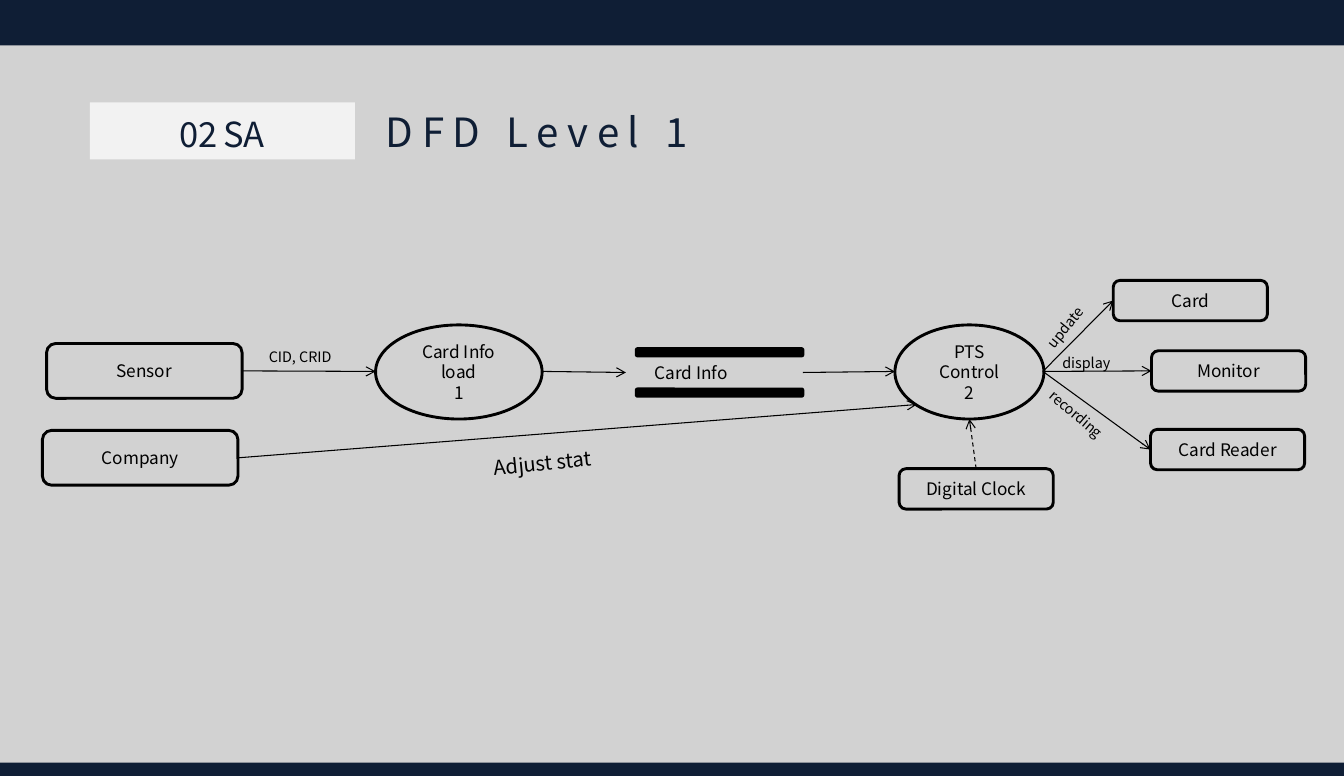
from pptx import Presentation
from pptx.dml.color import RGBColor
from pptx.enum.dml import MSO_LINE
from pptx.enum.shapes import MSO_CONNECTOR, MSO_SHAPE
from pptx.enum.text import MSO_ANCHOR, MSO_AUTO_SIZE, PP_ALIGN
from pptx.oxml.ns import qn
from pptx.util import Emu, Pt
from lxml import etree

EMU_PER_PX = 9144  # 100 px to the inch
FONT = "Noto Sans CJK KR"
NAVY = RGBColor(0x0F, 0x1E, 0x35)
GRAY = RGBColor(0xD2, 0xD2, 0xD2)
PALE = RGBColor(0xF2, 0xF2, 0xF2)
BLACK = RGBColor(0, 0, 0)
RECT, ROUND, OVAL = MSO_SHAPE.RECTANGLE, MSO_SHAPE.ROUNDED_RECTANGLE, MSO_SHAPE.OVAL
STRAIGHT, DASH = MSO_CONNECTOR.STRAIGHT, MSO_LINE.DASH
LEFT, CENTER = PP_ALIGN.LEFT, PP_ALIGN.CENTER
TOP, MIDDLE = MSO_ANCHOR.TOP, MSO_ANCHOR.MIDDLE
NO_FIT = MSO_AUTO_SIZE.NONE
TOP_SIDE, LEFT_SIDE, RIGHT_SIDE = 0, 1, 3


def px(*lengths):
    return [Emu(length * EMU_PER_PX) for length in lengths]


def write(shape, text, size, color=BLACK, align=LEFT, anchor=TOP, spacing=None):
    frame = shape.text_frame
    frame.word_wrap = True
    frame.auto_size = NO_FIT
    frame.vertical_anchor = anchor
    frame.text = text
    for paragraph in frame.paragraphs:
        paragraph.alignment = align
        font = paragraph.font
        font.name, font.size, font.color.rgb = FONT, Pt(size), color
        if spacing is not None:
            for run in paragraph.runs:
                run._r.get_or_add_rPr().set("spc", str(spacing))


def add_label(slide, box, text, size, rotation=0, **style):
    label = slide.shapes.add_textbox(*px(*box))
    label.rotation = rotation
    write(label, text, size, **style)


def add_bar(slide, box, color, kind=RECT, outline=None):
    bar = slide.shapes.add_shape(kind, *px(*box))
    bar.shadow.inherit = False
    bar.fill.solid()
    bar.fill.fore_color.rgb = color
    if outline is None:
        bar.line.fill.background()
    else:
        bar.line.color.rgb, bar.line.width = outline, Pt(2)


def add_node(slide, kind, box, text):
    node = slide.shapes.add_shape(kind, *px(*box))
    node.shadow.inherit = False
    node.fill.background()
    node.line.color.rgb, node.line.width = BLACK, Pt(2)
    write(node, text, 12, align=CENTER, anchor=MIDDLE)
    return node


def add_arrow(slide, start, end, source=None, target=None, side=RIGHT_SIDE, dash=None):
    """Draw a flow; source and target are the rectangles it is joined to."""
    arrow = slide.shapes.add_connector(STRAIGHT, *px(*start, *end))
    if source is not None:
        arrow.begin_connect(source, side)
    if target is not None:
        arrow.end_connect(target, LEFT_SIDE)
    arrow.line.color.rgb, arrow.line.width = BLACK, Pt(0.75)
    if dash is not None:
        arrow.line.dash_style = dash
    etree.SubElement(arrow.line._get_or_add_ln(), qn("a:tailEnd"), type="arrow")
    etree.SubElement(arrow._element.spPr, qn("a:effectLst"))


def add_heading(slide):
    add_bar(slide, (87, 99, 256, 55), PALE)
    add_label(slide, (107, 104, 215, 50), "02 SA", 24,
              color=NAVY, align=CENTER, spacing=-50)
    title = slide.shapes.title
    title.left, title.top, title.width, title.height = px(363, 99, 855, 57)
    write(title, "DFD Level 1", 28, color=NAVY, spacing=600)


def add_diagram(slide):
    # External entities
    sensor = add_node(slide, ROUND, (45, 332, 189, 53), "Sensor")
    company = add_node(slide, ROUND, (41, 416, 189, 53), "Company")
    card, monitor, reader, clock = [
        add_node(slide, ROUND, (left, top, 149, 39), text)
        for left, top, text in (
            (1076, 271, "Card"), (1113, 339, "Monitor"),
            (1112, 415, "Card Reader"), (869, 453, "Digital Clock"))]

    # Processes
    add_node(slide, OVAL, (363, 314, 161, 91), "Card Info load\n1")
    add_node(slide, OVAL, (865, 314, 144, 91), "PTS\nControl\n2")

    # Data store
    for top in (337, 376):
        add_bar(slide, (615, top, 161, 7), BLACK, ROUND, BLACK)
    add_label(slide, (623, 345, 153, 30), "Card Info", 12)

    # Flows
    control_out = (1008, 359)
    add_arrow(slide, (234, 358), (363, 359), source=sensor)
    add_arrow(slide, (525, 359), (605, 360))
    add_arrow(slide, (776, 360), (865, 359))
    add_arrow(slide, (230, 442), (886, 391), source=company)
    add_arrow(slide, (944, 453), (937, 405), source=clock, side=TOP_SIDE, dash=DASH)
    add_arrow(slide, control_out, (1076, 291), target=card)
    add_arrow(slide, control_out, (1113, 358), target=monitor)
    add_arrow(slide, control_out, (1112, 434), target=reader)

    # Flow labels
    for box, text, size, rotation in (
            ((250, 332, 114, 27), "CID, CRID", 10, 0),
            ((993, 294, 88, 27), "update", 10, 309),
            ((1017, 337, 96, 27), "display", 10, 0),
            ((994, 402, 128, 27), "recording", 10, 40.4),
            ((467, 428, 171, 34), "Adjust stat", 14, 354.4)):
        add_label(slide, box, text, size, rotation)


def main():
    presentation = Presentation()
    presentation.slide_width, presentation.slide_height = px(1299, 750)
    slide = presentation.slides.add_slide(presentation.slide_layouts[5])
    slide.background.fill.solid()
    slide.background.fill.fore_color.rgb = GRAY

    # Bands at the top and bottom edges
    add_bar(slide, (0, 0, 1299, 44), NAVY)
    add_bar(slide, (0, 737, 1299, 13), NAVY)

    add_heading(slide)
    add_diagram(slide)
    presentation.save("out.pptx")


if __name__ == "__main__":
    main()
